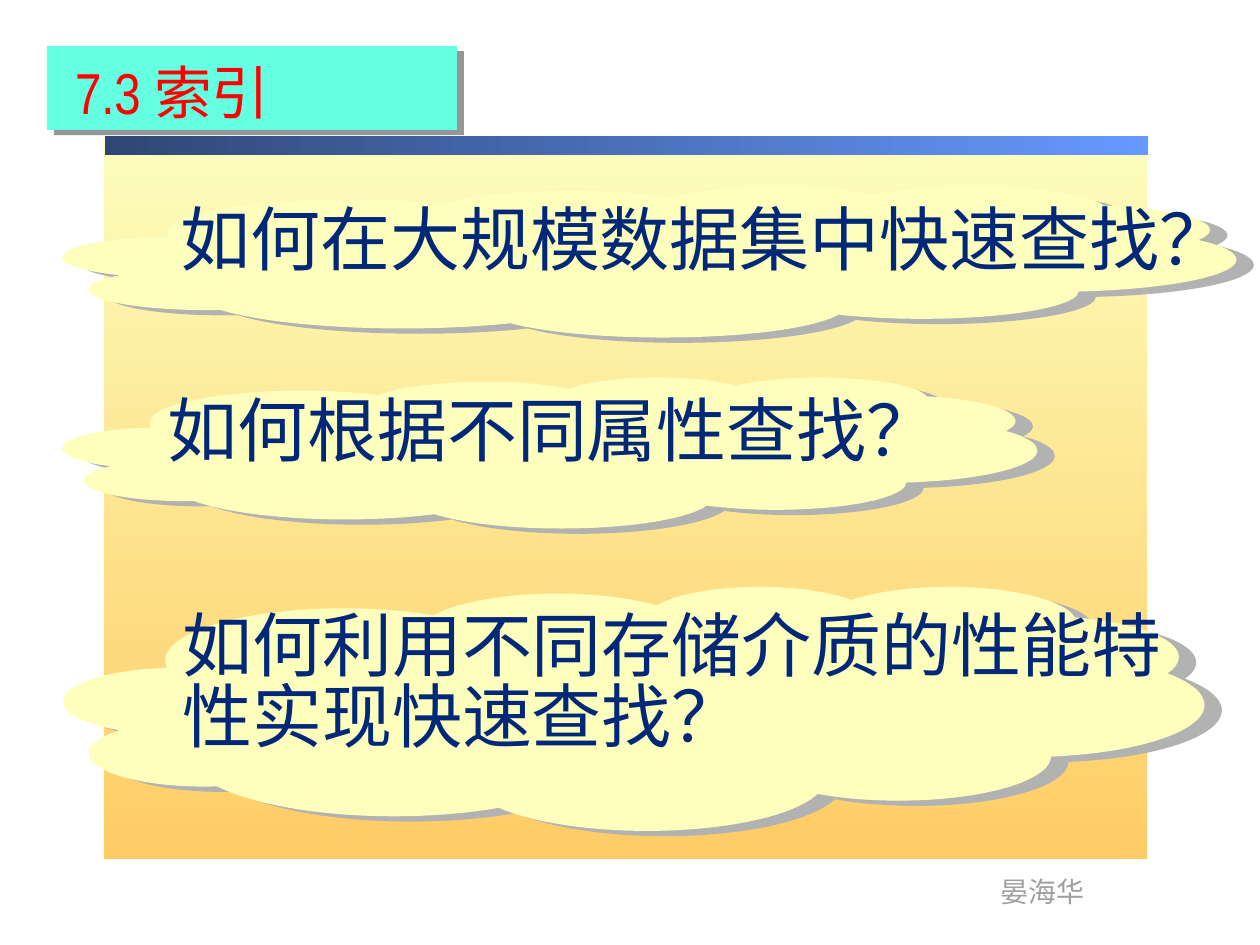
import pptx
import pptx.util
import pptx.dml.color
import pptx.enum.shapes
import pptx.enum.text
import pptx.oxml
import pptx.oxml.ns

RGBColor = pptx.dml.color.RGBColor
SHAPE = pptx.enum.shapes.MSO_SHAPE
ANCHOR = pptx.enum.text.MSO_ANCHOR

PANEL_TOP = RGBColor(0xFC, 0xFE, 0xBC)
PANEL_BOTTOM = RGBColor(0xFF, 0xCC, 0x66)
BAR_LEFT = RGBColor(0x2F, 0x47, 0x75)
BAR_RIGHT = RGBColor(0x66, 0x99, 0xFF)
CLOUD = RGBColor(0xFF, 0xFF, 0xBD)
CLOUD_SHADOW = RGBColor(0xB2, 0xB2, 0xB2)
BANNER = RGBColor(0x65, 0xFF, 0xE2)
BANNER_SHADOW = RGBColor(0x96, 0x96, 0x96)
BLACK = RGBColor(0, 0, 0)
RED = RGBColor(0xFF, 0, 0)
NAVY = RGBColor(0x00, 0x28, 0x78)
GRAY = RGBColor(0x9F, 0x9F, 0x9F)

LATIN = "Arial Narrow"
CHINESE = "Noto Sans CJK SC"
PIXEL = 914400 / 126


def px(*lengths):
    return [pptx.util.Emu(round(length * PIXEL)) for length in lengths]


def shadow_xml(color, distance, degrees):
    namespace = pptx.oxml.ns.nsdecls("a")
    return pptx.oxml.parse_xml(
        f'<a:outerShdw {namespace} blurRad="0" dist="{round(distance * 12700)}" '
        f'dir="{degrees * 60000}" algn="ctr" rotWithShape="0">'
        f'<a:srgbClr val="{color}"/></a:outerShdw>')


def add_text(paragraph, text, size, color, font=CHINESE, shadow=None):
    run = paragraph.add_run()
    run.text = text
    run.font.size = pptx.util.Pt(size)
    run.font.color.rgb = color
    run.font.name = font
    properties = run.font._element
    latin = properties.find(pptx.oxml.ns.qn("a:latin"))
    namespace = pptx.oxml.ns.nsdecls("a")
    latin.addnext(pptx.oxml.parse_xml(f'<a:ea {namespace} typeface="{CHINESE}"/>'))
    if shadow is not None:
        effects = pptx.oxml.parse_xml(f"<a:effectLst {namespace}/>")
        effects.append(shadow_xml(shadow, 2, 45))
        latin.addprevious(effects)


class SlideBuilder:
    line_spacing = 0.84

    def __init__(self, slide):
        self.slide = slide

    def shape(self, kind, box):
        shape = self.slide.shapes.add_shape(kind, *px(*box))
        shape.shadow.inherit = False
        shape.line.fill.background()
        return shape

    def gradient(self, box, colors, angle):
        fill = self.shape(SHAPE.RECTANGLE, box).fill
        fill.gradient()
        fill.gradient_angle = angle
        for stop, color in zip(fill.gradient_stops, colors):
            stop.color.rgb = color

    def shadowed(self, kind, box, color, shadow):
        shape = self.shape(kind, box)
        shape.fill.solid()
        shape.fill.fore_color.rgb = color
        effects = shape._element.spPr.find(pptx.oxml.ns.qn("a:effectLst"))
        effects.append(shadow_xml(*shadow))
        return shape

    def cloud(self, box):
        shape = self.shadowed(SHAPE.CLOUD_CALLOUT, box, CLOUD, (CLOUD_SHADOW, 10.4, 17))
        shape.adjustments[0] = -0.203
        shape.adjustments[1] = 0.173

    def text(self, box, text, wrap=True, **style):
        frame = self.slide.shapes.add_textbox(*px(*box)).text_frame
        frame.word_wrap = wrap
        frame.margin_top = px(11)[0]
        paragraph = frame.paragraphs[0]
        paragraph.line_spacing = self.line_spacing
        add_text(paragraph, text, **style)

    def title(self, box, parts, **style):
        title = self.slide.shapes.title
        title.left, title.top, title.width, title.height = px(*box)
        self.slide.shapes._spTree.append(title._element)
        frame = title.text_frame
        frame.vertical_anchor = ANCHOR.BOTTOM
        frame.auto_size = pptx.enum.text.MSO_AUTO_SIZE.NONE
        frame.margin_left = px(41)[0]
        paragraph = frame.paragraphs[0]
        paragraph.alignment = pptx.enum.text.PP_ALIGN.LEFT
        paragraph.line_spacing = self.line_spacing
        for text, font in parts:
            add_text(paragraph, text, font=font, **style)


def main():
    presentation = pptx.Presentation()
    presentation.slide_width, presentation.slide_height = px(1260, 945)
    builder = SlideBuilder(presentation.slides.add_slide(presentation.slide_layouts[5]))

    builder.gradient((104, 138, 1043, 721), (PANEL_TOP, PANEL_BOTTOM), 270)
    builder.gradient((105, 136, 1043, 19), (BAR_LEFT, BAR_RIGHT), 0)
    builder.text((988, 869, 110, 47), "晏海华", wrap=False, size=16, color=GRAY, font=LATIN)

    questions = [
        ((63, 186, 1173, 151), (168, 198, 1076, 181), "如何在大规模数据集中快速查找？"),
        ((63, 377, 974, 151), (155, 389, 912, 183), "如何根据不同属性查找？"),
        ((64, 586, 1140, 244), (170, 604, 1046, 257),
         "如何利用不同存储介质的性能特性实现快速查找？"),
    ]
    for cloud_box, text_box, question in questions:
        builder.cloud(cloud_box)
        builder.text(text_box, question, size=40, color=NAVY)

    builder.shadowed(SHAPE.RECTANGLE, (47, 46, 410, 84), BANNER, (BANNER_SHADOW, 5, 37))
    builder.title((34, 48, 431, 84), [("7.3 ", LATIN), ("索引", CHINESE)],
                  size=33, color=RED, shadow=BLACK)
    presentation.save("out.pptx")


if __name__ == "__main__":
    main()
